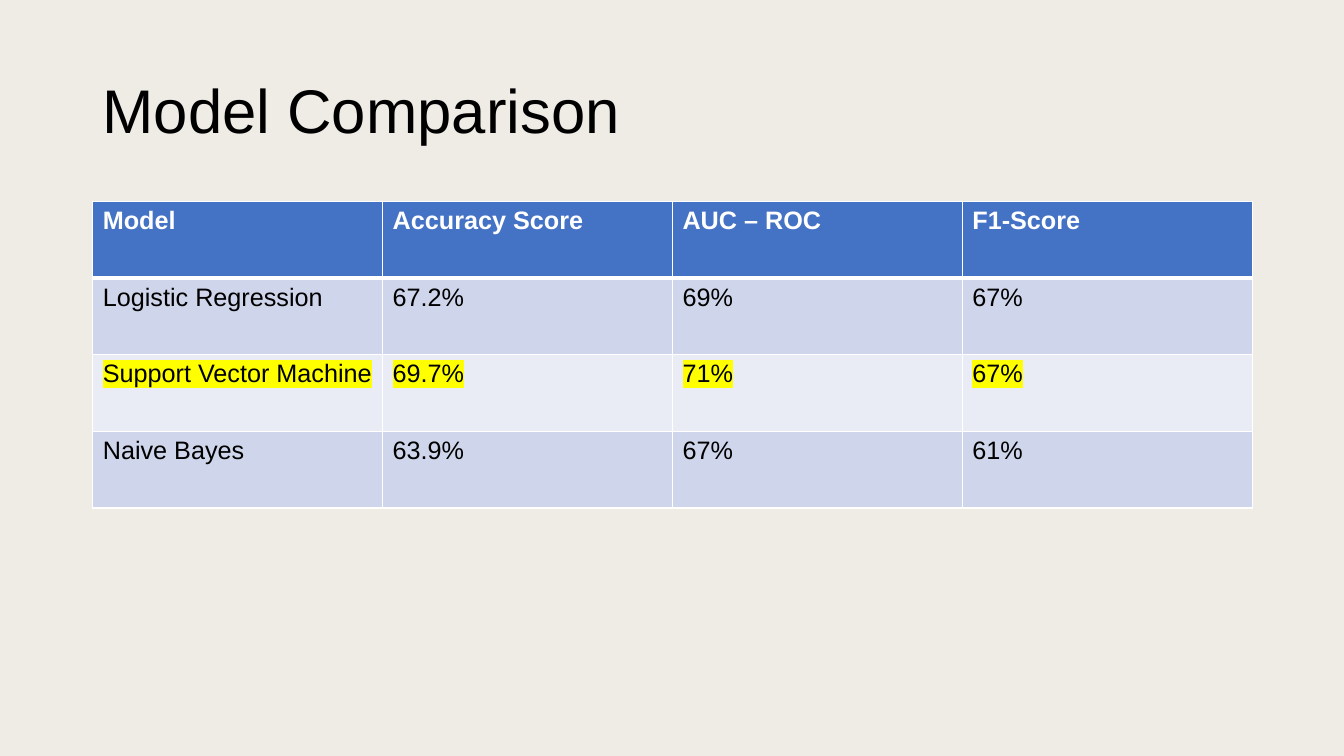
from lxml import etree
from pptx import Presentation
from pptx.dml.color import RGBColor
from pptx.enum.text import MSO_ANCHOR
from pptx.oxml.ns import qn
from pptx.util import Inches, Pt

BACKGROUND = RGBColor(0xEF, 0xEB, 0xE5)
BLACK = RGBColor(0, 0, 0)
WHITE = RGBColor(0xFF, 0xFF, 0xFF)
HEADER_FILL = RGBColor(0x44, 0x72, 0xC4)
BAND_FILLS = [RGBColor(0xE9, 0xEB, 0xF5), RGBColor(0xCF, 0xD5, 0xEA)]
HIGHLIGHT = RGBColor(0xFF, 0xFF, 0x00)
FONT = "Arial"

SCORES = [
    ["Model", "Accuracy Score", "AUC – ROC", "F1-Score"],
    ["Logistic Regression", "67.2%", "69%", "67%"],
    ["Support Vector Machine", "69.7%", "71%", "67%"],
    ["Naive Bayes", "63.9%", "67%", "61%"],
]
BEST_ROW = 2


def add_run(paragraph, text, size, color, bold=False):
    run = paragraph.add_run()
    run.text = text
    run.font.name = FONT
    run.font.size = Pt(size)
    run.font.bold = bold
    run.font.color.rgb = color
    return run


def add_color(parent, color):
    etree.SubElement(parent, qn("a:srgbClr"), val=str(color))


def highlight_run(run, color):
    properties = run.font._element
    highlight = etree.Element(qn("a:highlight"))
    add_color(highlight, color)
    properties.find(qn("a:solidFill")).addnext(highlight)


def set_borders(cell, top, bottom):
    properties = cell._tc.get_or_add_tcPr()
    for side, width in (("L", 1), ("R", 1), ("T", top), ("B", bottom)):
        line = etree.SubElement(properties, qn(f"a:ln{side}"), w=str(Pt(width)))
        add_color(etree.SubElement(line, qn("a:solidFill")), WHITE)


def add_title(slide, left, top, width, height):
    box = slide.shapes.add_textbox(left, top, width, height)
    frame = box.text_frame
    frame.word_wrap = True
    frame.vertical_anchor = MSO_ANCHOR.MIDDLE
    paragraph = frame.paragraphs[0]
    paragraph.line_spacing = 0.9
    add_run(paragraph, "Model Comparison", 44, BLACK)


def add_score_table(slide, left, top, width, height):
    table = slide.shapes.add_table(
        len(SCORES), len(SCORES[0]), left, top, width, height).table
    for row, values in enumerate(SCORES):
        is_header = row == 0
        for column, value in enumerate(values):
            cell = table.cell(row, column)
            set_borders(cell, 3 if row == 1 else 1, 3 if is_header else 1)
            cell.fill.solid()
            cell.fill.fore_color.rgb = HEADER_FILL if is_header else BAND_FILLS[row % 2]
            run = add_run(cell.text_frame.paragraphs[0], value, 18,
                          WHITE if is_header else BLACK, is_header)
            if row == BEST_ROW:
                highlight_run(run, HIGHLIGHT)


def build_comparison_slide(presentation):
    slide = presentation.slides.add_slide(presentation.slide_layouts[6])
    slide.background.fill.solid()
    slide.background.fill.fore_color.rgb = BACKGROUND
    left, width = Inches(0.92), Inches(11.5)
    add_title(slide, left, Inches(0.4), width, Inches(1.45))
    add_score_table(slide, left, Inches(2), width, Inches(3.04))


presentation = Presentation()
presentation.slide_width = Inches(13.33)
presentation.slide_height = Inches(7.5)
build_comparison_slide(presentation)
presentation.save("out.pptx")
